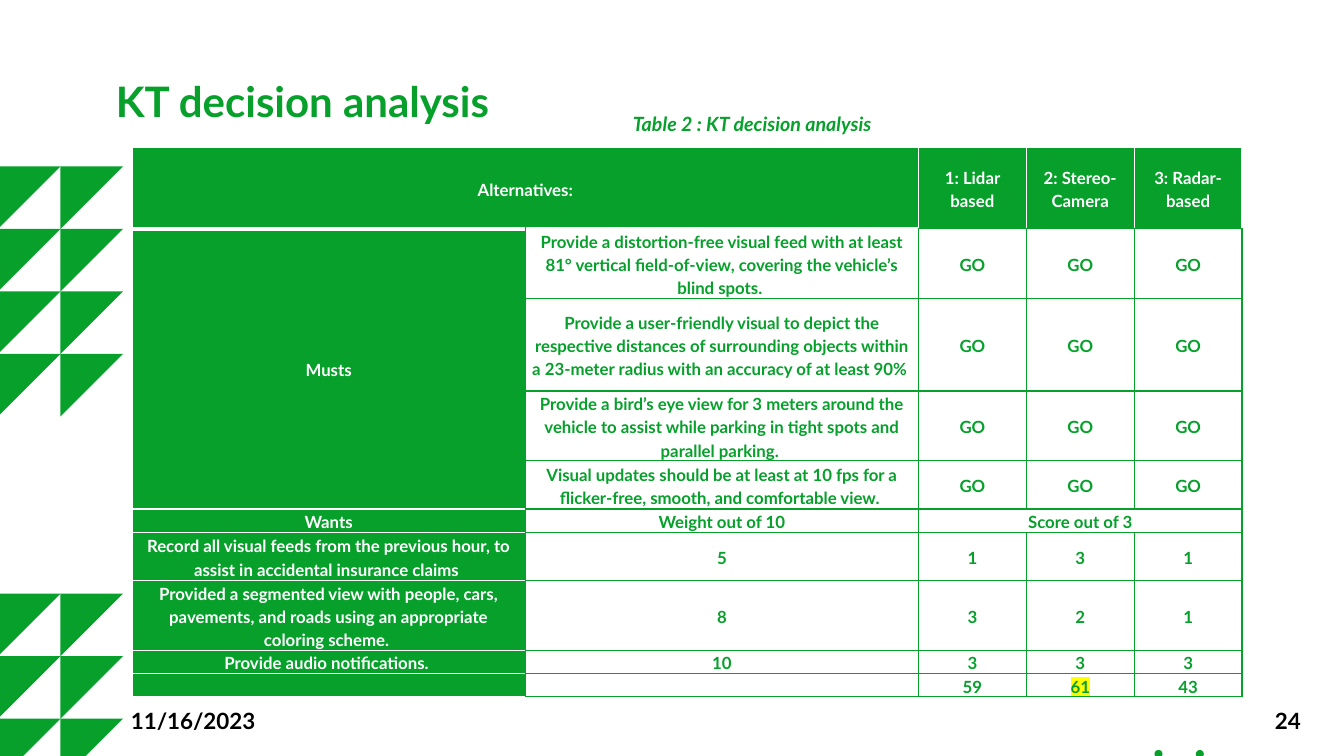
from lxml import etree
from pptx import Presentation
from pptx.dml.color import RGBColor
from pptx.enum.shapes import MSO_SHAPE
from pptx.enum.text import MSO_ANCHOR, MSO_AUTO_SIZE, PP_ALIGN
from pptx.oxml.ns import qn
from pptx.util import Inches, Pt

GREEN, WHITE, BLACK, YELLOW = "06A02B", "FFFFFF", "000000", "FFFF00"
FONT = "Lato"
TRIANGLE, DOT = MSO_SHAPE.RIGHT_TRIANGLE, MSO_SHAPE.OVAL
LEFT, CENTER, RIGHT = PP_ALIGN.LEFT, PP_ALIGN.CENTER, PP_ALIGN.RIGHT
TOP, MIDDLE = MSO_ANCHOR.TOP, MSO_ANCHOR.MIDDLE
NO_AUTOFIT = MSO_AUTO_SIZE.NONE
TITLE_ONLY = 5

COLUMN_WIDTHS = [3.9, 3.9, 1.07, 1.07, 1.07]
ROW_HEIGHTS = [0.81, 0.69, 0.92, 0.69, 0.48, 0.23, 0.48, 0.69, 0.23, 0.23]
ROWS = [
    ["Alternatives:", "", "1: Lidar based", "2: Stereo-Camera", "3: Radar-based"],
    ["Musts", "Provide a distortion-free visual feed with at least 81° vertical "
     "field-of-view, covering the vehicle’s blind spots. ", "GO", "GO", "GO"],
    ["", "Provide a user-friendly visual to depict the respective distances of "
     "surrounding objects within a 23-meter radius with an accuracy of at least "
     "90%  ", "GO", "GO", "GO"],
    ["", "Provide a bird’s eye view for 3 meters around the vehicle to assist "
     "while parking in tight spots and parallel parking. ", "GO", "GO", "GO"],
    ["", "Visual updates should be at least at 10 fps for a flicker-free, smooth, "
     "and comfortable view. ", "GO", "GO", "GO"],
    ["Wants", "Weight out of 10", "Score out of 3", "", ""],
    ["Record all visual feeds from the previous hour, to assist in accidental "
     "insurance claims ", "5", "1", "3", "1"],
    ["Provided a segmented view with people, cars, pavements, and roads using an "
     "appropriate coloring scheme. ", "8", "3", "2", "1"],
    ["Provide audio notifications. ", "10", "3", "3", "3"],
    ["", "", "59", "61", "43"],
]
MERGES = [((0, 0), (0, 1)), ((1, 0), (4, 0)), ((5, 2), (5, 4))]
BEST_TOTAL = (9, 3)


def rgb(color):
    return RGBColor.from_string(color)


def add_solid_fill(parent, color):
    fill = etree.SubElement(parent, qn("a:solidFill"))
    etree.SubElement(fill, qn("a:srgbClr")).set("val", color)


def write_text(frame, text, size=12, color=GREEN, italic=False, align=LEFT,
               spacing=None, highlight=None):
    para = frame.paragraphs[0]
    para.alignment = align
    if spacing:
        para.line_spacing = spacing
    if not text:
        # The end mark sets the height of an empty line.
        etree.SubElement(para._p, qn("a:endParaRPr")).set("sz", str(size * 100))
        return
    span = para.add_run()
    span.text = text
    font = span.font
    font.size, font.bold, font.italic = Pt(size), True, italic
    font.color.rgb = rgb(color)
    if highlight:
        mark = etree.SubElement(font._element, qn("a:highlight"))
        etree.SubElement(mark, qn("a:srgbClr")).set("val", highlight)
    font.name = FONT


def add_text_box(page, text, left, top, width, height, anchor=TOP, wrap=True,
                 **text_format):
    box = page.shapes.add_textbox(Inches(left), Inches(top),
                                  Inches(width), Inches(height))
    frame = box.text_frame
    frame.word_wrap = wrap
    frame.vertical_anchor = anchor
    write_text(frame, text, **text_format)


def add_green_shape(page, kind, left, top, size):
    shape = page.shapes.add_shape(kind, Inches(left), Inches(top),
                                  Inches(size), Inches(size))
    shape.shadow.inherit = False
    shape.fill.solid()
    shape.fill.fore_color.rgb = rgb(GREEN)
    shape.line.fill.background()
    return shape


def add_triangles(page, top, rows):
    size = 0.62
    for column in range(2):
        for row in range(rows):
            triangle = add_green_shape(page, TRIANGLE, -0.02 + column * size,
                                       top + row * size, size)
            triangle.rotation = 90


def add_title(page, text):
    title = page.shapes.title
    title.left, title.top = Inches(1.05), Inches(0.65)
    title.width, title.height = Inches(11.23), Inches(0.62)
    frame = title.text_frame
    frame.auto_size = NO_AUTOFIT
    frame.vertical_anchor = TOP
    frame.margin_left = frame.margin_right = Inches(0.1)
    frame.margin_top = frame.margin_bottom = Inches(0.1)
    write_text(frame, text, size=30)


def set_borders(cell, **borders):
    """Takes (colour, points) for each of L, R, T and B, in that order."""
    properties = cell._tc.get_or_add_tcPr()
    for side, (color, points) in borders.items():
        line = etree.SubElement(properties, qn(f"a:ln{side}"))
        line.set("w", str(Pt(points)))
        add_solid_fill(line, color)


def format_cell(cell, row, column):
    is_header, is_label = row == 0, column == 0
    dark = is_header or is_label
    edge = (WHITE if dark else GREEN, 1)
    right = edge if is_header else (GREEN, 1)
    bottom = edge
    if is_header:
        bottom = (WHITE, 3) if column < 2 else (GREEN, 1)
    set_borders(cell, L=edge, R=right, T=edge, B=bottom)
    cell.fill.solid()
    cell.fill.fore_color.rgb = rgb(GREEN if dark else WHITE)
    cell.vertical_anchor = MIDDLE
    cell.margin_left = cell.margin_right = Inches(0.05)
    cell.margin_top = cell.margin_bottom = 0
    write_text(cell.text_frame, ROWS[row][column], align=CENTER, spacing=1.15,
               color=WHITE if dark else GREEN,
               highlight=YELLOW if (row, column) == BEST_TOTAL else None)


def add_decision_table(page):
    frame = page.shapes.add_table(len(ROWS), len(COLUMN_WIDTHS), Inches(1.31),
                                  Inches(1.46), Inches(sum(COLUMN_WIDTHS)),
                                  Inches(sum(ROW_HEIGHTS)))
    table = frame.table
    for column, width in zip(table.columns, COLUMN_WIDTHS):
        column.width = Inches(width)
    for row, height in zip(table.rows, ROW_HEIGHTS):
        row.height = Inches(height)
    for row in range(len(ROWS)):
        for column in range(len(COLUMN_WIDTHS)):
            format_cell(table.cell(row, column), row, column)
    for first, last in MERGES:
        table.cell(*first).merge(table.cell(*last))


def main():
    deck = Presentation()
    deck.slide_width, deck.slide_height = Inches(13.33), Inches(7.5)
    page = deck.slides.add_slide(deck.slide_layouts[TITLE_ONLY])
    add_triangles(page, 1.65, 4)
    add_triangles(page, 5.89, 3)
    for left in (11.45, 11.86):
        add_green_shape(page, DOT, left, 7.44, 0.08)
    add_title(page, "KT decision analysis")
    add_text_box(page, "11/16/2023", 1.2, 6.95, 3, 0.4, anchor=MIDDLE,
                 size=16, color=BLACK)
    add_text_box(page, "24", 10, 6.95, 3, 0.4, anchor=MIDDLE,
                 size=16, color=BLACK, align=RIGHT)
    add_decision_table(page)
    add_text_box(page, "Table 2 : KT decision analysis", 6.18, 1.06, 2.9, 0.34,
                 wrap=False, size=14, italic=True)
    deck.save("out.pptx")


if __name__ == "__main__":
    main()
